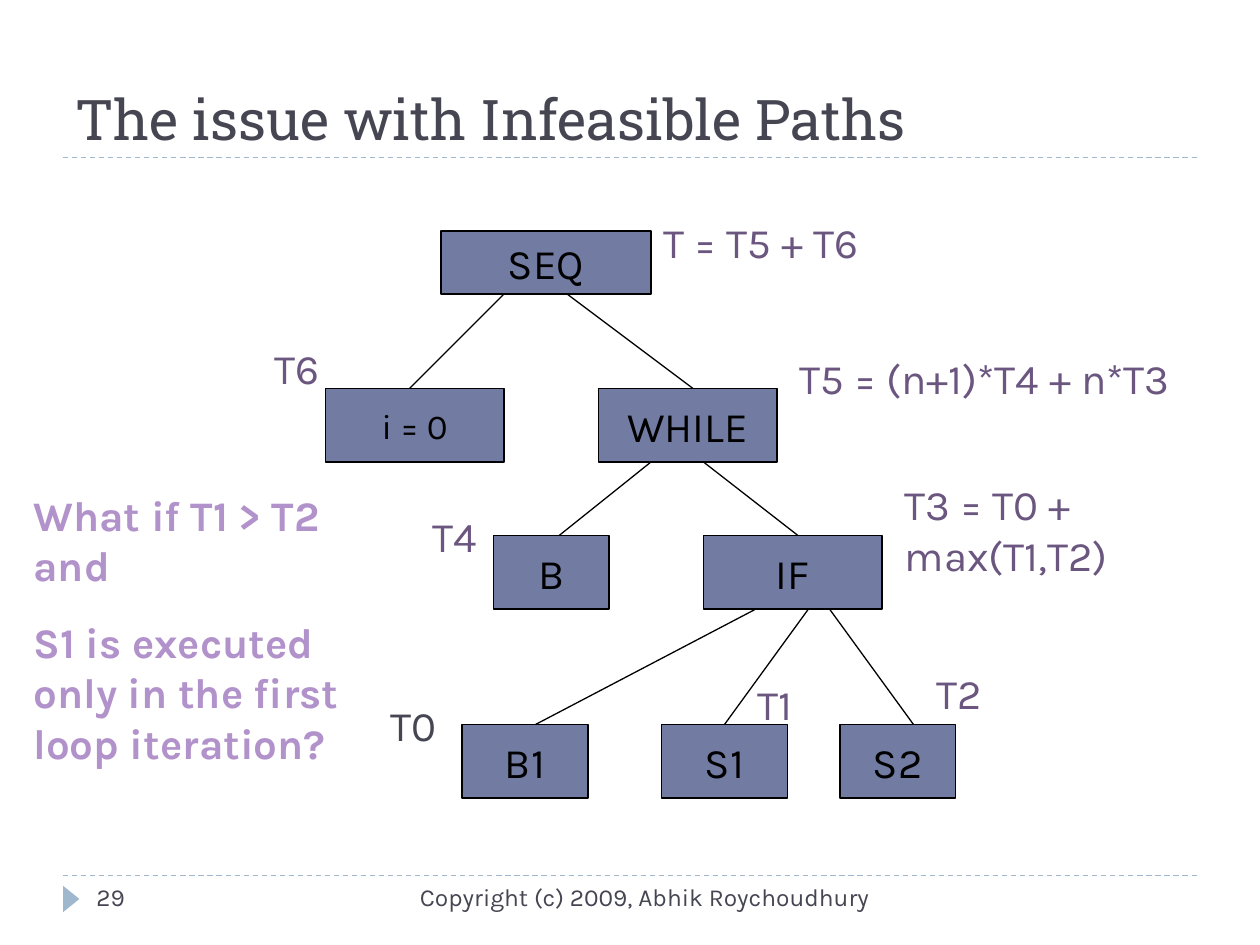
from lxml import etree
from pptx import Presentation
from pptx.dml.color import RGBColor
from pptx.enum.dml import MSO_LINE
from pptx.enum.shapes import MSO_CONNECTOR, MSO_SHAPE
from pptx.enum.text import MSO_ANCHOR, PP_ALIGN
from pptx.oxml.ns import qn
from pptx.util import Pt

STRAIGHT = MSO_CONNECTOR.STRAIGHT
RECTANGLE, TRIANGLE = MSO_SHAPE.RECTANGLE, MSO_SHAPE.ISOSCELES_TRIANGLE
TOP, MIDDLE, BOTTOM = MSO_ANCHOR.TOP, MSO_ANCHOR.MIDDLE, MSO_ANCHOR.BOTTOM
LEFT, CENTER, RIGHT = PP_ALIGN.LEFT, PP_ALIGN.CENTER, PP_ALIGN.RIGHT
DASH = MSO_LINE.DASH
TOP_SITE = 0

THEME = {
    "heading_font": "Roboto Slab", "body_font": "Karla",
    "title_size": 32, "body_size": 24, "small_size": 20, "footer_size": 14,
    "text": "464653", "formula": "6B5680", "question": "B292CA",
    "node": "727CA3", "outline": "000000", "accent": "9FB8CD",
    "line_width": 0.75,
}

TITLE = "The issue with Infeasible Paths"
FOOTERS = [
    ("Copyright (c) 2009, Abhik Roychoudhury", 228, 276, RIGHT),
    ("29", 48, 156, LEFT),
]
NODES = [
    ("SEQ", 252, 132, 120, 36),
    ("i = 0", 186, 222, 102, 42),
    ("WHILE", 342, 222, 102, 42),
    ("B", 282, 306, 66, 42),
    ("IF", 402, 306, 102, 42),
    ("B1", 264, 414, 72, 42),
    ("S1", 378, 414, 72, 42),
    ("S2", 480, 414, 66, 42),
]
EDGES = [
    ("SEQ", 288, "i = 0", 234),
    ("SEQ", 324, "WHILE", 396),
    ("WHILE", 372, "B", 319.5),
    ("WHILE", 402, "IF", 456),
    ("IF", 432, "B1", 306),
    ("IF", 462, "S1", 414),
    ("IF", 474, "S2", 522),
]
LABELS = [
    ("T3 = T0 + max(T1,T2)", 510, 270, 186, 65, "formula"),
    ("T0", 216, 396, 78, 36, "text"),
    ("T1", 426, 384, 54, 36, "formula"),
    ("T2", 528, 378, 42, 36, "formula"),
    ("T4", 240, 288, 60, 36, "formula"),
    ("T5 = (n+1)*T4 + n*T3", 450, 198, 252, 36, "formula"),
    ("T6", 150, 192, 66, 36, "formula"),
    ("T = T5 + T6", 372, 120, 156, 36, "formula"),
]
QUESTIONS = ["What if T1 > T2 and", "S1 is executed only in the first loop iteration?"]
QUESTION_GAP = 15
RULE_HEIGHTS = [500.4, 90]
RULE_LEFT, RULE_RIGHT = 36, 684


def color(name):
    return RGBColor.from_string(THEME[name])


def write(shape, lines, size="body_size", ink="text", font="body_font",
          align=LEFT, anchor=TOP, bold=False, wrap=True):
    frame = shape.text_frame
    frame.word_wrap = wrap
    frame.vertical_anchor = anchor
    frame.text = "\n".join(lines)
    for index, paragraph in enumerate(frame.paragraphs):
        paragraph.alignment = align
        if index:
            paragraph.space_before = Pt(QUESTION_GAP)
        for run in paragraph.runs:
            run.font.name = THEME[font]
            run.font.size = Pt(THEME[size])
            run.font.bold = bold
            run.font.color.rgb = color(ink)


def add_text(slide, lines, left, top, width, height, **style):
    box = slide.shapes.add_textbox(Pt(left), Pt(top), Pt(width), Pt(height))
    write(box, lines, **style)


def add_filled(slide, kind, left, top, width, height, fill):
    shape = slide.shapes.add_shape(kind, Pt(left), Pt(top), Pt(width), Pt(height))
    shape.shadow.inherit = False
    shape.fill.solid()
    shape.fill.fore_color.rgb = color(fill)
    return shape


def add_line(slide, start, end, ink):
    points = [Pt(value) for value in (*start, *end)]
    connector = slide.shapes.add_connector(STRAIGHT, *points)
    connector.line.color.rgb = color(ink)
    connector.line.width = Pt(THEME["line_width"])
    etree.SubElement(connector._element.spPr, qn("a:effectLst"))
    return connector


def add_frame(slide):
    for height in RULE_HEIGHTS:
        rule = add_line(slide, (RULE_LEFT, height), (RULE_RIGHT, height), "accent")
        rule.line.dash_style = DASH
    marker = add_filled(slide, TRIANGLE, 33.12, 509.04, 15.12, 9.36, "accent")
    marker.rotation = 90
    marker.line.fill.background()
    add_text(slide, [TITLE], 36, 12, 648, 78, size="title_size",
             font="heading_font", anchor=BOTTOM)
    for text, left, width, align in FOOTERS:
        add_text(slide, [text], left, 500.4, width, 28.8,
                 size="footer_size", align=align)


def add_tree(slide):
    nodes = {}
    for text, *bounds in NODES:
        node = add_filled(slide, RECTANGLE, *bounds, "node")
        node.line.color.rgb = color("outline")
        node.line.width = Pt(THEME["line_width"])
        size = "small_size" if text == "i = 0" else "body_size"
        write(node, [text], size=size, ink="outline", align=CENTER,
              anchor=MIDDLE, wrap=False)
        nodes[text] = node
    for parent, start_x, child, end_x in EDGES:
        upper, lower = nodes[parent], nodes[child]
        start_y = (upper.top + upper.height).pt if hasattr(upper.top + upper.height, "pt") \
            else (upper.top + upper.height) / Pt(1)
        edge = add_line(slide, (start_x, start_y), (end_x, lower.top.pt), "outline")
        if Pt(end_x) == lower.left + lower.width // 2:
            edge.end_connect(lower, TOP_SITE)


def main():
    presentation = Presentation()
    presentation.slide_width, presentation.slide_height = Pt(720), Pt(540)
    slide = presentation.slides.add_slide(presentation.slide_layouts[6])
    add_frame(slide)
    add_tree(slide)
    for text, left, top, width, height, ink in LABELS:
        add_text(slide, [text], left, top, width, height, ink=ink)
    add_text(slide, QUESTIONS, 12, 276, 198, 166, ink="question", bold=True)
    presentation.save("out.pptx")


if __name__ == "__main__":
    main()
